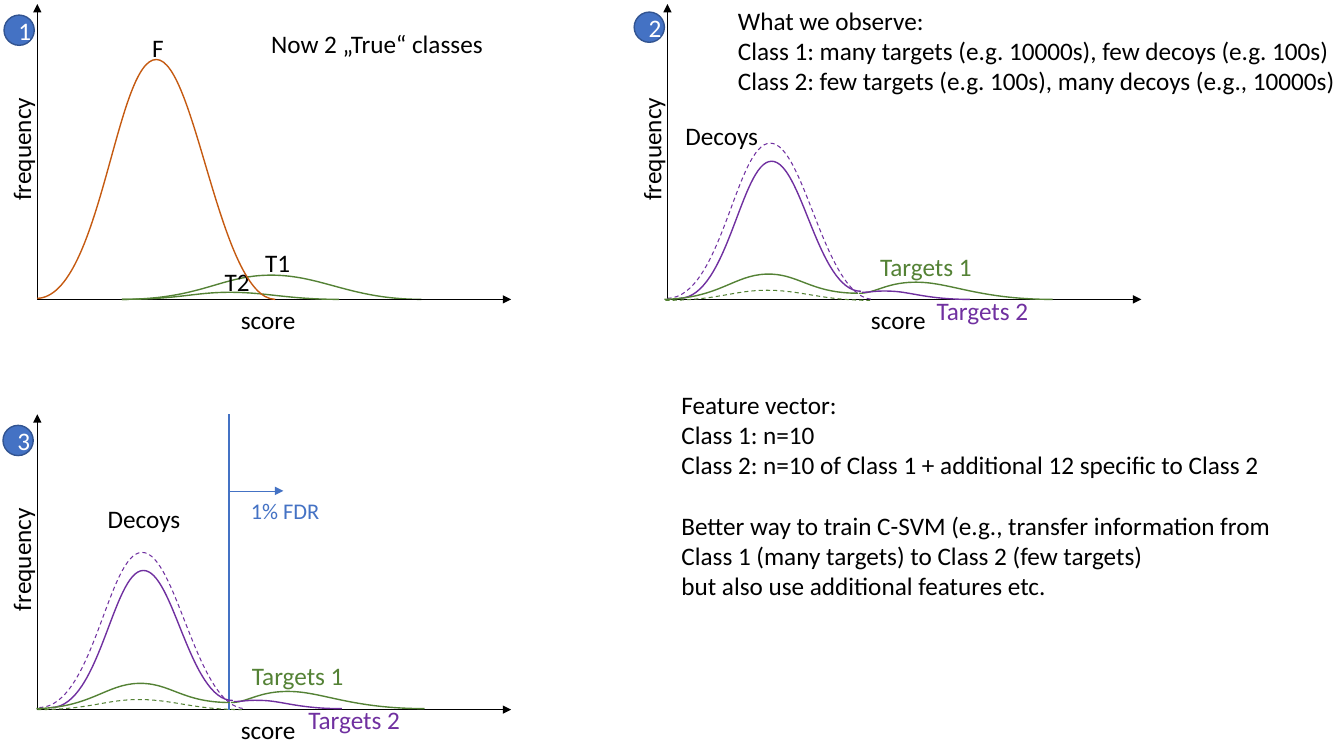
from dataclasses import dataclass

from lxml import etree
from pptx import Presentation
from pptx.dml.color import RGBColor
from pptx.enum import dml, shapes, text
from pptx.oxml import ns
from pptx.util import Inches, Pt


@dataclass(frozen=True)
class Theme:
    font: str = "Calibri"
    body: float = 18
    small: float = 16
    hairline: float = 0.5
    dashed: float = 0.75
    solid: float = 1
    threshold: float = 1.5
    black: str = "000000"
    white: str = "FFFFFF"
    green: str = "548235"
    orange: str = "C55A11"
    purple: str = "7030A0"
    blue: str = "4472C4"
    dark_blue: str = "325491"


THEME = Theme()

# Each curve is a start point followed by Bezier control and end points.
TRUE_1 = [(1.21, 2.97), (2, 2.97), (2.19, 2.73), (2.69, 2.73),
          (3.19, 2.73), (3.48, 2.97), (4.18, 2.97)]
TRUE_2 = [(1.21, 2.97), (1.78, 2.97), (1.92, 2.9), (2.28, 2.9),
          (2.64, 2.9), (2.86, 2.97), (3.36, 2.97)]
FALSE = [(0.37, 2.96), (1, 2.94), (1.15, 0.59), (1.55, 0.59),
         (1.94, 0.59), (2.18, 2.96), (2.73, 2.97)]
OBSERVED_CURVES = [
    (THEME.purple, True, [(6.62, 2.96), (7.16, 2.95), (7.3, 1.42), (7.64, 1.42),
                          (7.98, 1.42), (8.18, 2.96), (8.66, 2.97)]),
    (THEME.green, False, [(8.52, 2.91), (8.69, 2.91), (8.8, 2.79), (9.12, 2.8),
                          (9.44, 2.81), (9.73, 2.97), (10.44, 2.97)]),
    (THEME.green, True, [(6.6, 2.98), (7.13, 2.98), (7.27, 2.88), (7.61, 2.88),
                         (7.95, 2.88), (8.15, 2.98), (8.63, 2.98)]),
    (THEME.purple, False, [(8.55, 2.9), (8.65, 2.9), (8.68, 2.88), (8.86, 2.89),
                           (9.04, 2.9), (9.21, 2.97), (9.62, 2.97)]),
    (THEME.purple, False, [(6.74, 2.96), (7.22, 2.95), (7.35, 1.61), (7.65, 1.6),
                           (7.95, 1.59), (8.11, 2.89), (8.54, 2.89)]),
    (THEME.green, False, [(6.59, 2.97), (7.13, 2.96), (7.28, 2.73), (7.6, 2.72),
                          (7.92, 2.71), (8.03, 2.91), (8.51, 2.91)]),
]


def rgb(color):
    return RGBColor.from_string(color)


def set_line(shape, color, width):
    shape.line.color.rgb = rgb(color)
    shape.line.width = Pt(width)


def style_text(frame, color, size=THEME.body):
    for para in frame.paragraphs:
        for span in para.runs:
            span.font.name = THEME.font
            span.font.size = Pt(size)
            span.font.color.rgb = rgb(color)


def add_label(parent, left, top, width, height, words,
              color=THEME.black, size=THEME.body, rotation=0):
    box = parent.add_textbox(Inches(left), Inches(top), Inches(width), Inches(height))
    frame = box.text_frame
    frame.text = words
    frame.word_wrap = False
    frame.auto_size = text.MSO_AUTO_SIZE.SHAPE_TO_FIT_TEXT
    box.rotation = rotation
    style_text(frame, color, size)
    return box


def add_line(parent, start, end, color, width, arrow=False):
    line = parent.add_connector(shapes.MSO_CONNECTOR.STRAIGHT,
                                *(Inches(value) for value in (*start, *end)))
    set_line(line, color, width)
    properties = line._element.spPr
    if arrow:
        etree.SubElement(properties.find(ns.qn("a:ln")), ns.qn("a:tailEnd"), type="triangle")
    etree.SubElement(properties, ns.qn("a:effectLst"))


def bend_segments(curve):
    """Turn every three straight segments into one cubic Bezier segment."""
    segments = list(curve._element.iter(ns.qn("a:lnTo")))
    for first in range(0, len(segments), 3):
        bezier = etree.Element(ns.qn("a:cubicBezTo"))
        segments[first].addprevious(bezier)
        for segment in segments[first:first + 3]:
            bezier.append(segment[0])
            segment.getparent().remove(segment)


def add_curve(parent, controls, color, dashed=False, dx=0, dy=0):
    points = [(Inches(x + dx), Inches(y + dy)) for x, y in controls]
    builder = parent.build_freeform(*points[0])
    builder.add_line_segments(points[1:], close=False)
    curve = builder.convert_to_shape()
    bend_segments(curve)
    curve.shadow.inherit = False
    curve.fill.background()
    set_line(curve, color, THEME.dashed if dashed else THEME.solid)
    if dashed:
        curve.line.dash_style = dml.MSO_LINE.DASH


def add_axes(parent, x, y):
    """Draw the axes from the corner (x, y), with the score label."""
    for end in ((x, y - 2.93), (x + 4.7, y)):
        add_line(parent, (x, y), end, THEME.black, THEME.hairline, arrow=True)
    add_label(parent, x + 1.92, y, 0.75, 0.4, "score")


def add_frequency(parent, x, y):
    add_label(parent, x - 0.78, y - 1.7, 1.24, 0.4, "frequency", rotation=270)


def add_observed(parent, decoys_at, dx=0, dy=0):
    """Draw the observed score distributions, moved by (dx, dy)."""
    for color, dashed, controls in OBSERVED_CURVES:
        add_curve(parent, controls, color, dashed, dx, dy)
    add_label(parent, *decoys_at, 0.93, 0.4, "Decoys")
    add_label(parent, 8.63 + dx, 2.44 + dy, 1.12, 0.4, "Targets 1", THEME.green)
    add_label(parent, 9.19 + dx, 2.88 + dy, 1.12, 0.4, "Targets 2", THEME.purple)


def add_badge(parent, left, top, number):
    badge = parent.add_shape(shapes.MSO_SHAPE.OVAL, Inches(left), Inches(top),
                             Inches(0.3), Inches(0.3))
    badge.shadow.inherit = False
    badge.fill.solid()
    badge.fill.fore_color.rgb = rgb(THEME.blue)
    set_line(badge, THEME.dark_blue, THEME.solid)
    frame = badge.text_frame
    frame.text = str(number)
    frame.vertical_anchor = text.MSO_ANCHOR.MIDDLE
    frame.paragraphs[0].alignment = text.PP_ALIGN.CENTER
    style_text(frame, THEME.white)


def add_group(page):
    return page.shapes.add_group_shape().shapes


def add_true_panel(page):
    panel = add_group(page)
    add_curve(panel, TRUE_1, THEME.green)
    add_axes(panel, 0.37, 2.97)
    add_label(panel, 2.53, 2.4, 0.45, 0.4, "T1")
    add_frequency(panel, 0.37, 2.97)
    add_curve(page.shapes, TRUE_2, THEME.green)
    add_label(page.shapes, 2.13, 2.59, 0.45, 0.4, "T2")
    add_curve(page.shapes, FALSE, THEME.orange)
    add_label(page.shapes, 1.41, 0.27, 0.32, 0.4, "F")
    add_label(page.shapes, 2.59, 0.23, 2.32, 0.71, "Now 2 „True“ classes")
    add_badge(page.shapes, 0.04, 0.15, 1)


def add_observed_panel(page):
    add_frequency(page.shapes, 6.62, 2.97)
    add_label(page.shapes, 7.22, 0, 6.19, 1.01,
              "What we observe:\n"
              "Class 1: many targets (e.g. 10000s), few decoys (e.g. 100s)\n"
              "Class 2: few targets (e.g. 100s), many decoys (e.g., 10000s)")
    panel = add_group(page)
    add_axes(panel, 6.62, 2.97)
    add_observed(panel, (6.7, 1.14))
    add_badge(page.shapes, 6.29, 0.12, 2)


def add_threshold_panel(page):
    axes = add_group(page)
    add_axes(axes, 0.37, 7.04)
    add_frequency(axes, 0.37, 7.04)
    add_label(page.shapes, 2.39, 4.88, 0.89, 0.37, "1% FDR", THEME.blue, THEME.small)
    threshold = add_group(page)
    add_line(threshold, (2.27, 4.11), (2.27, 7.04), THEME.blue, THEME.threshold)
    add_line(threshold, (2.27, 4.87), (2.81, 4.87), THEME.blue, THEME.hairline, arrow=True)
    add_badge(page.shapes, 0.03, 4.22, 3)
    add_observed(add_group(page), (0.97, 4.94), dx=-6.23, dy=4.06)


def add_feature_notes(page):
    notes = add_label(page.shapes, 6.66, 3.81, 6.11, 2.22,
                      "Feature vector:\n"
                      "Class 1: n=10\n"
                      "Class 2: n=10 of Class 1 + additional 12 specific to Class 2\n"
                      "Better way to train C-SVM (e.g., transfer information from\n"
                      "Class 1 (many targets) to Class 2 (few targets) \v"
                      "but also use additional features etc.")
    notes.text_frame.paragraphs[3].space_before = Pt(21.6)


def main():
    deck = Presentation()
    deck.slide_width, deck.slide_height = Inches(13.33), Inches(7.5)
    page = deck.slides.add_slide(deck.slide_layouts[6])
    add_true_panel(page)
    add_observed_panel(page)
    add_threshold_panel(page)
    add_feature_notes(page)
    deck.save("out.pptx")


if __name__ == "__main__":
    main()
